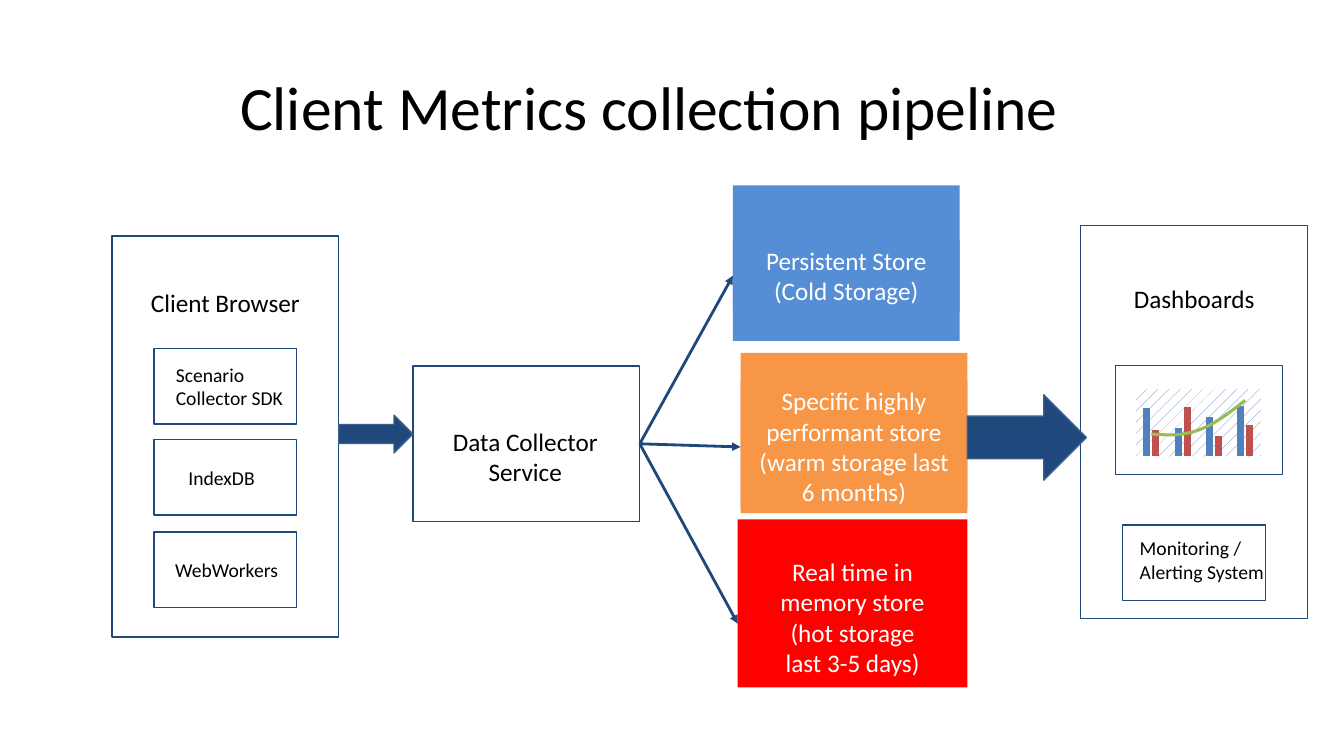
from dataclasses import dataclass
from lxml import etree
from pptx import Presentation
from pptx.chart.data import CategoryChartData
from pptx.dml.color import RGBColor
from pptx.enum.chart import XL_CHART_TYPE, XL_MARKER_STYLE
from pptx.enum.shapes import MSO_CONNECTOR, MSO_SHAPE
from pptx.enum.text import MSO_ANCHOR, PP_ALIGN
from pptx.oxml import parse_xml
from pptx.oxml.ns import nsdecls, qn
from pptx.util import Pt


@dataclass(frozen=True)
class Theme:
    font: str = "Calibri"
    black: str = "000000"
    white: str = "FFFFFF"
    navy: str = "1F497D"
    arrow_edge: str = "3A5F8C"
    cold: str = "558ED5"
    warm: str = "F79646"
    hot: str = "FF0000"
    series: tuple = ("4F81BD", "C0504D", "9BBB59")
    title: int = 44
    heading: int = 18
    small: int = 14
    chart: int = 10


theme = Theme()
deck = Presentation()
deck.slide_width, deck.slide_height = Pt(960), Pt(540)
page = deck.slides.add_slide(deck.slide_layouts[6])


def add_box(bounds, fill=None, line=None, kind=MSO_SHAPE.RECTANGLE):
    box = page.shapes.add_shape(kind, *[Pt(length) for length in bounds])
    box.shadow.inherit = False
    if fill:
        box.fill.solid()
        box.fill.fore_color.rgb = RGBColor.from_string(fill)
    else:
        box.fill.background()
    if line:
        box.line.color.rgb = RGBColor.from_string(line)
        box.line.width = Pt(1)
    else:
        box.line.fill.background()
    return box


def add_label(bounds, text, size, color=theme.black, align=PP_ALIGN.CENTER, fill=None):
    label = page.shapes.add_textbox(*[Pt(length) for length in bounds])
    if fill:
        label.fill.solid()
        label.fill.fore_color.rgb = RGBColor.from_string(fill)
    frame = label.text_frame
    frame.word_wrap = True
    if align == PP_ALIGN.LEFT:
        frame.margin_right = 0
    frame.text = text
    for para in frame.paragraphs:
        para.alignment = align
        para.font.name = theme.font
        para.font.size = Pt(size)
        para.font.color.rgb = RGBColor.from_string(color)
    return label


# Title
title = add_label((50, 27, 828, 104), "Client Metrics collection pipeline", theme.title)
title.text_frame.vertical_anchor = MSO_ANCHOR.MIDDLE
title.text_frame.paragraphs[0].line_spacing = 0.9

# Browser, collector and dashboard frames
add_box((80, 168.5, 162, 286.5), line=theme.navy)
add_label((80, 201.5, 162, 29), "Client Browser", theme.heading)
collector = add_box((295, 261.5, 162, 111), line=theme.navy)
add_label((295, 301, 160.5, 51), "Data Collector Service", theme.heading)
add_box((772, 161, 162, 281), line=theme.navy)
add_label((785.5, 199, 135, 29), "Dashboards", theme.heading)

# Small parts: box left and top, then label bounds
parts = [
    ("Scenario\vCollector SDK", 110, 249, (118.5, 255.5, 92, 41)),
    ("IndexDB", 110, 314, (127.5, 329, 63, 24)),
    ("WebWorkers", 110, 380, (118, 395, 89, 24)),
    ("Monitoring /\nAlerting System", 802, 375, (807, 379.5, 104, 41)),
]
for text, left, top, label_bounds in parts:
    add_box((left, top, 102, 54), line=theme.navy)
    add_label(label_bounds, text, theme.small, align=PP_ALIGN.LEFT)

# Stores, each linked from the collector
stores = [
    ("Persistent Store\v(Cold Storage)", theme.cold, theme.cold,
     (523.5, 132.5, 162, 111), (523.5, 171.5, 162, 51)),
    ("Specific highly performant store\v(warm storage last 6 months)", theme.warm, theme.warm,
     (529, 252, 162, 111), (529, 272, 162, 94.5)),
    ("Real time in memory store\v(hot storage\vlast 3-5 days)", theme.hot, None,
     (527, 371, 164, 120), (527, 394, 164, 103)),
]
for text, color, label_fill, bounds, label_bounds in stores:
    add_box(bounds, fill=color)
    label = add_label(label_bounds, text, theme.heading, theme.white, fill=label_fill)
    link = page.shapes.add_connector(MSO_CONNECTOR.STRAIGHT, 0, 0, 0, 0)
    link.begin_connect(collector, 3)
    link.end_connect(label, 1)
    link.line.color.rgb = RGBColor.from_string(theme.navy)
    link.line.width = Pt(2)
    etree.SubElement(link.line._get_or_add_ln(), qn("a:tailEnd"), type="triangle")
    etree.SubElement(link._element.spPr, qn("a:effectLst"))

# Block arrows
for bounds in ((242, 296.5, 53, 27), (691, 282, 85, 61)):
    add_box(bounds, theme.navy, theme.arrow_edge, MSO_SHAPE.RIGHT_ARROW)

# Dashboard chart
data = CategoryChartData()
data.categories = ["1", "2", "3", "4"]
data.add_series("Series 1", (86, 50, 70, 90))
data.add_series("Series 2", (48, 88, 36, 56))
data.add_series("Series 3", (40, 40, 60, 100))
chart = page.shapes.add_chart(
    XL_CHART_TYPE.COLUMN_CLUSTERED, Pt(796.5), Pt(260.5), Pt(120), Pt(78.5), data).chart
chart.has_title = chart.has_legend = False
chart.font.name, chart.font.size = theme.font, Pt(theme.chart)
chart.font.color.rgb = RGBColor.from_string(theme.black)
chart.category_axis.visible = chart.value_axis.visible = False
chart.value_axis.has_major_gridlines = False
chart.value_axis.minimum_scale, chart.value_axis.maximum_scale = 0, 120
columns = chart.plots[0]
columns.gap_width, columns.overlap, columns.vary_by_categories = 219, -27, False

# Third series becomes a line over the columns
bar_chart = columns._element
trend = bar_chart.findall(qn("c:ser"))[2]
for flag in trend.findall(qn("c:invertIfNegative")):
    trend.remove(flag)
line_chart = parse_xml(
    f'<c:lineChart {nsdecls("c")}><c:grouping val="standard"/><c:varyColors val="0"/>'
    '<c:marker val="1"/></c:lineChart>')
line_chart.insert(2, trend)
for axis in bar_chart.findall(qn("c:axId")):
    etree.SubElement(line_chart, qn("c:axId"), val=axis.get("val"))
bar_chart.addnext(line_chart)

for series, color in zip(columns.series, theme.series):
    series.format.fill.solid()
    series.format.fill.fore_color.rgb = RGBColor.from_string(color)
line = chart.plots[1].series[0]
line.smooth = True
line.marker.style = XL_MARKER_STYLE.NONE
line.format.line.color.rgb = RGBColor.from_string(theme.series[2])
line.format.line.width = Pt(2.25)

# Plot position, pattern and chart border
plot_area = bar_chart.getparent()
for layout in plot_area.findall(qn("c:layout")):
    plot_area.remove(layout)
position = "".join(
    f'<c:{name} val="{value}"/>' for name, value in
    (("layoutTarget", "inner"), ("xMode", "edge"), ("yMode", "edge"),
     ("x", 0.12), ("y", 0.22), ("w", 0.75), ("h", 0.62)))
plot_area.insert(0, parse_xml(
    f'<c:layout {nsdecls("c")}><c:manualLayout>{position}</c:manualLayout></c:layout>'))
plot_area.append(parse_xml(
    f'<c:spPr {nsdecls("c", "a")}><a:pattFill prst="pct10">'
    f'<a:fgClr><a:srgbClr val="{theme.series[0]}"/></a:fgClr>'
    f'<a:bgClr><a:srgbClr val="{theme.white}"/></a:bgClr></a:pattFill></c:spPr>'))
plot_area.getparent().addnext(parse_xml(
    f'<c:spPr {nsdecls("c", "a")}><a:noFill/><a:ln w="{Pt(0.75)}"><a:solidFill>'
    f'<a:srgbClr val="{theme.navy}"/></a:solidFill></a:ln></c:spPr>'))

deck.save("out.pptx")
